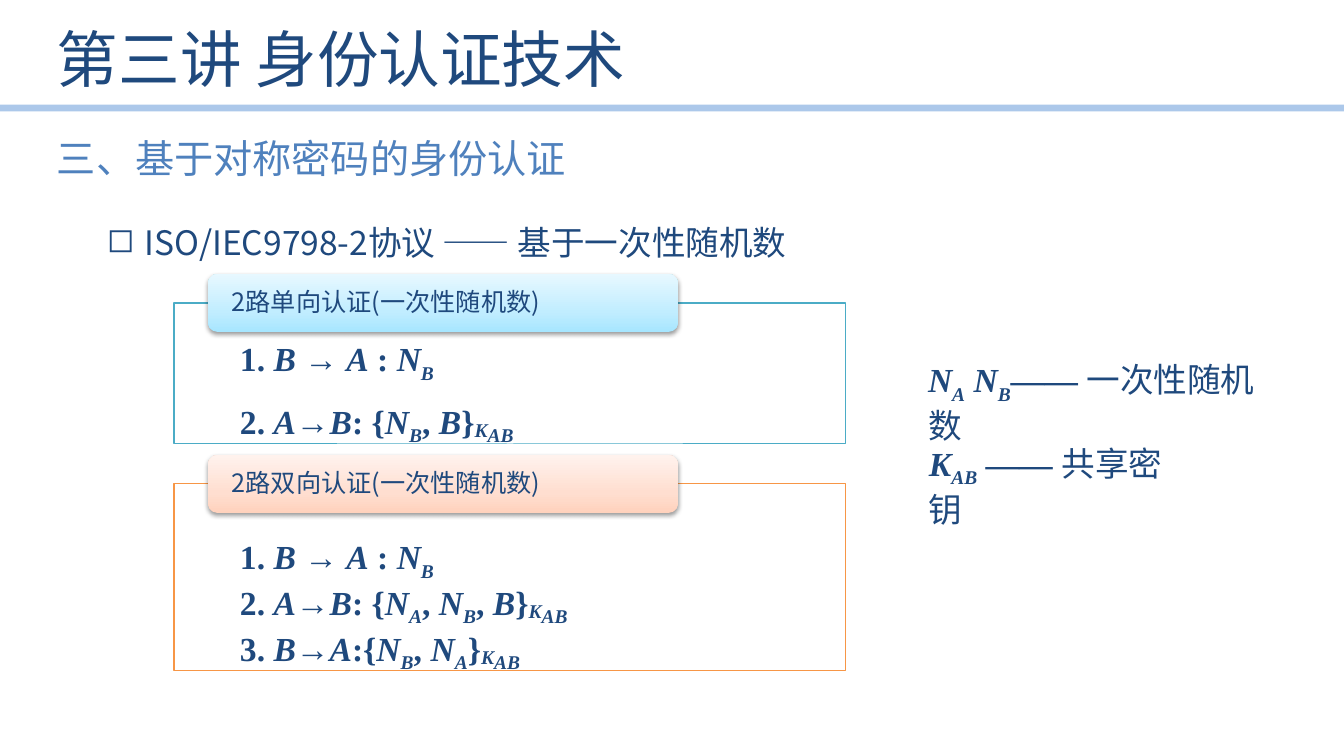
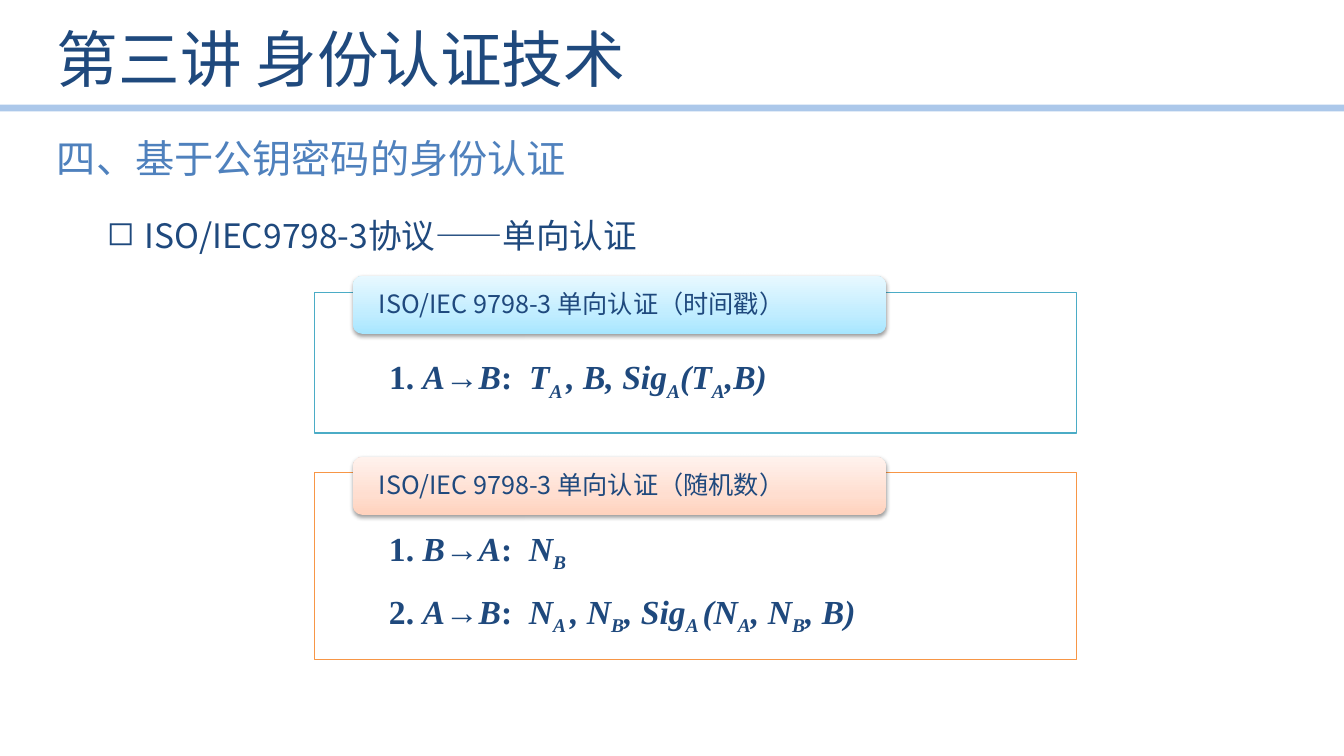
"""Builds two lecture slides on identity authentication protocols."""
from copy import deepcopy

from lxml import etree
from pptx import Presentation
from pptx import util as u
from pptx.dml.color import RGBColor
from pptx.enum import shapes, text
from pptx.oxml import ns

PX = 9071
SANS = "Noto Sans CJK SC"
SERIF = "Times New Roman"
NAVY = RGBColor(0x1F, 0x49, 0x7D)
BLUE = RGBColor(0x4F, 0x81, 0xBD)
SKY = RGBColor(0x8E, 0xB4, 0xE3)
WHITE = RGBColor(0xFF, 0xFF, 0xFF)
TEAL = RGBColor(0x4B, 0xAC, 0xC6)
ORANGE = RGBColor(0xF7, 0x96, 0x46)
AQUA_STOPS = [RGBColor(0xA7, 0xE6, 0xFF), RGBColor(0xC1, 0xED, 0xFF), RGBColor(0xE7, 0xF8, 0xFF)]
PEACH_STOPS = [RGBColor(0xFF, 0xD2, 0xBD), RGBColor(0xFF, 0xDE, 0xD0), RGBColor(0xFF, 0xF2, 0xED)]
STOP_POSITIONS = [0, 0.35, 1]
PANEL_STYLES = [(TEAL, AQUA_STOPS, 141), (ORANGE, PEACH_STOPS, 187)]
PANEL_PITCH = 181
LABEL_HEIGHT = 58
BASELINES = {"_": -25000, "^": -10000}


def write(shape, lines, font=SANS, size=24, color=NAVY, bold=False, middle=False,
          inset=10, gap=0, spacing=None, bullet=None, tab=None):
    """Fill a shape; * marks italic, _ and ^ lowered text, # plain sans text."""
    frame = shape.text_frame
    frame.word_wrap = True
    frame.margin_left = frame.margin_right = inset * PX
    frame.margin_top = frame.margin_bottom = 5 * PX
    frame.vertical_anchor = text.MSO_ANCHOR.MIDDLE if middle else text.MSO_ANCHOR.TOP
    for index, line in enumerate(lines):
        para = frame.paragraphs[0] if index == 0 else frame.add_paragraph()
        props = para._p.get_or_add_pPr()
        if bullet:
            props.set("marL", str(89 * PX))
            props.set("indent", str(-38 * PX))
            etree.SubElement(props, ns.qn("a:buChar")).set("char", bullet)
        if tab:
            stops = etree.SubElement(props, ns.qn("a:tabLst"))
            etree.SubElement(stops, ns.qn("a:tab"), pos=str(tab * PX), algn="l")
        para.alignment = text.PP_ALIGN.LEFT
        if index and gap:
            para.space_before = u.Pt(gap)
        if spacing:
            para.line_spacing = spacing
        active = set()
        pieces = [""]
        for letter in line:
            if letter in "*_^#":
                pieces += [letter, ""]
            else:
                pieces[-1] += letter
        for piece in pieces:
            if piece and piece in "*_^#":
                active ^= {piece}
            elif piece:
                span = para.add_run()
                span.text = piece
                face = SANS if "#" in active else font
                span.font.name = face
                span.font.size = u.Pt(size)
                span.font.color.rgb = color
                span.font.bold = bold and "#" not in active
                span.font.italic = "*" in active
                run_props = span._r.get_or_add_rPr()
                etree.SubElement(run_props, ns.qn("a:ea")).set("typeface", face)
                for mark in active & set(BASELINES):
                    run_props.set("baseline", str(BASELINES[mark]))


def set_alpha(owner, percent):
    """Make the first colour below an element partly transparent."""
    color = next(owner.iter(ns.qn("a:srgbClr")))
    etree.SubElement(color, ns.qn("a:alpha")).set("val", str(percent * 1000))


PAGES = [
    {
        "heading": "三、基于对称密码的身份认证",
        "topic": "ISO/IEC9798-2协议 —— 基于一次性随机数",
        "topic_top": 217,
        "frame": (174, 303, 672),
        "label": (208, 274, 470, 21),
        "labels": ["2路单向认证(一次性随机数)", "2路双向认证(一次性随机数)"],
        "steps": [
            ((230, 333, 436, 112), 12, [
                "1. *B *→ *A* : *N_B_*",
                "2. *A*→*B*: {*N_B_*, *B*}*^K^_AB_*",
            ]),
            ((230, 531, 436, 132), 0, [
                "1. *B *→ *A* : *N_B_*",
                "2. *A*→*B*: {*N_A_*, *N_B_*, *B*}*^K^_AB_*",
                "3. *B*→*A*:{*N_B_*, *N_A_*}*^K^_AB_*",
            ]),
        ],
        "notes": [
            ((918, 354, 370, 50), "*N_A_ N_B_—— *#一次性随机数#"),
            ((919, 438, 280, 50), "*K_AB_ —— *#共享密钥#"),
        ],
    },
    {
        "heading": "四、基于公钥密码的身份认证",
        "topic": "ISO/IEC9798-3协议——单向认证",
        "topic_top": 210,
        "frame": (315, 292, 762),
        "label": (353, 276, 533, 23),
        "labels": ["ISO/IEC 9798-3 单向认证（时间戳）", "ISO/IEC 9798-3 单向认证（随机数）"],
        "steps": [
            ((379, 351, 489, 51), 0, [
                "1. *A*→*B*:\t*T_A _, B, Sig_A_(T_A_,B)*",
            ]),
            ((379, 523, 501, 112), 12, [
                "1. *B*→*A*:\t*N_B_*",
                "2. *A*→*B*:\t*N_A _, N_B_, Sig_A _(N_A_, N_B_, B)*",
            ]),
        ],
        "notes": [],
    },
]

deck = Presentation()
deck.slide_width = 1344 * PX
deck.slide_height = 756 * PX

for content in PAGES:
    page = deck.slides.add_slide(deck.slide_layouts[6])

    rule = page.shapes.add_connector(shapes.MSO_CONNECTOR.STRAIGHT, 0, 108 * PX, 1344 * PX, 108 * PX)
    rule.line.color.rgb = SKY
    rule.line.width = u.Pt(4.75)
    set_alpha(rule._element.spPr, 73)
    etree.SubElement(rule._element.spPr, ns.qn("a:effectLst"))

    headings = [
        ((47, 9, 1111, 98), "第三讲 身份认证技术", {"size": 44, "middle": True}),
        ((47, 129, 560, 57), content["heading"], {"size": 28, "color": BLUE}),
        ((46, content["topic_top"], 1238, 60), content["topic"], {"bullet": "◻"}),
    ]
    for place, line, style in headings:
        box = page.shapes.add_textbox(*[length * PX for length in place])
        write(box, [line], **style)

    frame_left, frame_top, frame_width = content["frame"]
    label_left, label_top, label_width, label_inset = content["label"]
    for row, (edge, stop_colors, frame_height) in enumerate(PANEL_STYLES):
        shift = row * PANEL_PITCH
        panel = page.shapes.add_shape(
            shapes.MSO_SHAPE.RECTANGLE, frame_left * PX, (frame_top + shift) * PX,
            frame_width * PX, frame_height * PX)
        panel.shadow.inherit = False
        panel.fill.solid()
        panel.fill.fore_color.rgb = WHITE
        set_alpha(panel._element.spPr, 90)
        panel.line.color.rgb = edge
        panel.line.width = u.Pt(0.75)

        label = page.shapes.add_shape(
            shapes.MSO_SHAPE.ROUNDED_RECTANGLE, label_left * PX, (label_top + shift) * PX,
            label_width * PX, LABEL_HEIGHT * PX)
        label.line.fill.background()
        label.fill.gradient()
        label.fill.gradient_angle = 90
        stop_list = next(label._element.spPr.iter(ns.qn("a:gsLst")))
        stop_list.append(deepcopy(stop_list[-1]))
        for stop, color, position in zip(label.fill.gradient_stops, stop_colors, STOP_POSITIONS):
            stop.color.rgb = color
            stop.position = position
        label.shadow.inherit = False
        effects = label._element.spPr.find(ns.qn("a:effectLst"))
        shadow = etree.SubElement(effects, ns.qn("a:outerShdw"), blurRad="40000",
                                  dist="20000", dir="5400000", rotWithShape="0")
        etree.SubElement(shadow, ns.qn("a:srgbClr"), val="000000")
        set_alpha(shadow, 38)
        write(label, [content["labels"][row]], size=18, middle=True, inset=label_inset, spacing=0.9)

    for place, gap, lines in content["steps"]:
        box = page.shapes.add_textbox(*[length * PX for length in place])
        write(box, lines, font=SERIF, bold=True, gap=gap, tab=140)

    for place, line in content["notes"]:
        box = page.shapes.add_textbox(*[length * PX for length in place])
        write(box, [line], font=SERIF, bold=True)

deck.save("out.pptx")
